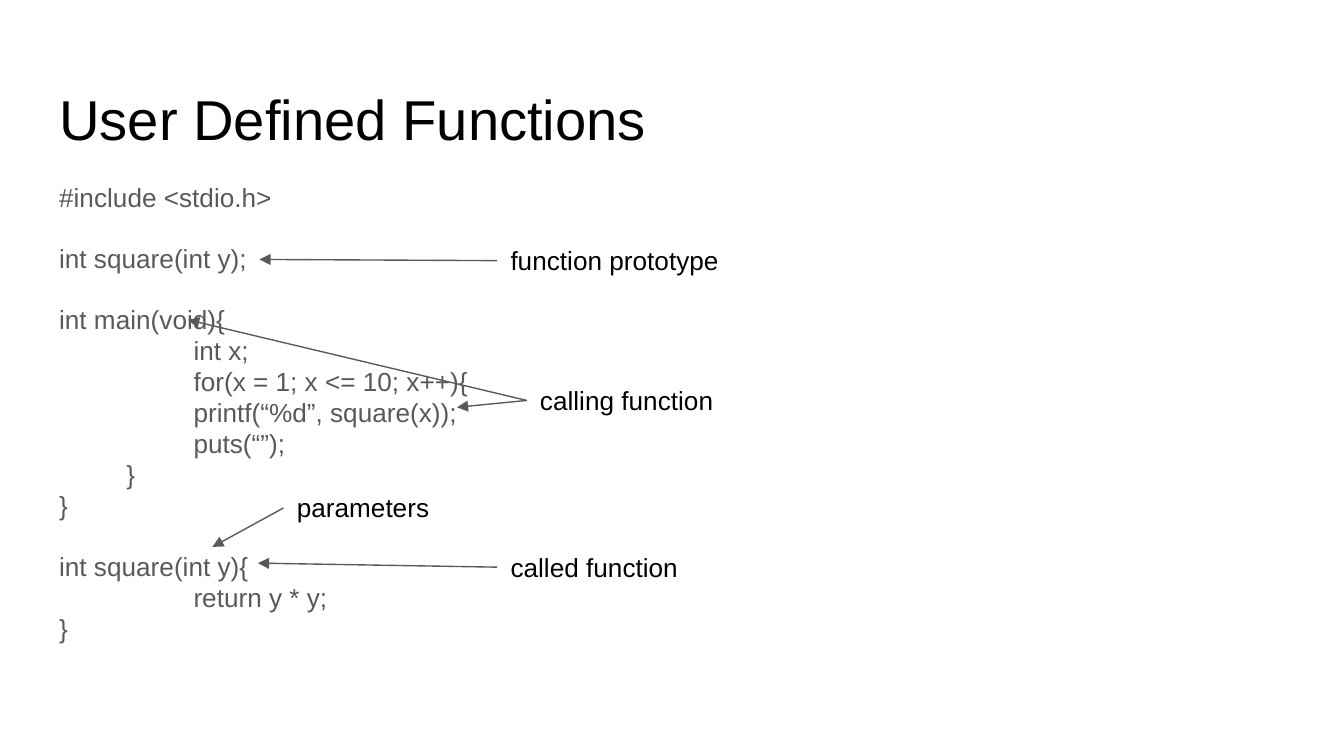
"""Builds a slide that labels the parts of a C program with user defined functions."""
from lxml import etree
from pptx import Presentation
from pptx.dml.color import RGBColor
from pptx.enum.shapes import MSO_CONNECTOR
from pptx.enum.text import MSO_ANCHOR, MSO_AUTO_SIZE, PP_ALIGN
from pptx.oxml.ns import qn
from pptx.util import Pt

STRAIGHT = MSO_CONNECTOR.STRAIGHT
TOP = MSO_ANCHOR.TOP
LEFT = PP_ALIGN.LEFT
NO_FIT, GROW = MSO_AUTO_SIZE.NONE, MSO_AUTO_SIZE.SHAPE_TO_FIT_TEXT
BLACK = RGBColor(0x00, 0x00, 0x00)
GRAY = RGBColor(0x59, 0x59, 0x59)

TITLE = "User Defined Functions"
CODE = [
    [("#include <stdio.h>", 0)],
    [("int square(int y);", 0)],
    [
        ("int main(void){", 0),
        ("int x;", 2),
        ("for(x = 1; x <= 10; x++){", 2),
        ("printf(“%d”, square(x));", 2),
        ("puts(“”);", 2),
        ("}", 1),
        ("}", 0),
    ],
    [("int square(int y){", 0), ("return y * y;", 2), ("}", 0)],
]
LABELS = [
    ("function prototype", 266.4, 123.8, 198, [(139, 139)]),
    ("calling function", 282.2, 198.7, 198, [(100.8, 171.4), (244.8, 218.2)]),
    ("called function", 266.4, 288, 198, [(138.2, 301.7)]),
    ("parameters", 151.9, 256.3, 126, [(113.8, 293)]),
]
MARGIN, TEXT_WIDTH = 24.5, 671
LABEL_HEIGHT = 31.7
INDENT, LINE, INSET = 36, 16, 7.2


def write(p, text, size=14, color=BLACK, indent=0, before=0, spacing=1.0):
    p.alignment = LEFT
    p.space_before = Pt(before)
    p.line_spacing = spacing
    pPr = p._p.get_or_add_pPr()
    pPr.set("marL", str(Pt(indent)))
    pPr.set("indent", "0")
    etree.SubElement(pPr, qn("a:buNone"))
    r = p.add_run()
    r.text = text
    r.font.name, r.font.size = "Arial", Pt(size)
    r.font.color.rgb = color


def frame(sp, fit, top=INSET):
    tf = sp.text_frame
    tf.word_wrap, tf.auto_size, tf.vertical_anchor = True, fit, TOP
    tf.margin_left = tf.margin_right = tf.margin_bottom = Pt(INSET)
    tf.margin_top = Pt(top)
    return tf


def place(sp, left, top, width, height):
    sp.left, sp.top, sp.width, sp.height = map(Pt, (left, top, width, height))


def add_arrow(s, label, x, y):
    line = s.shapes.add_connector(STRAIGHT, label.left, label.top, Pt(x), Pt(y))
    line.begin_connect(label, 1)
    line.line.color.rgb, line.line.width = GRAY, Pt(0.75)
    etree.SubElement(line.line._get_or_add_ln(), qn("a:tailEnd"), type="triangle")
    etree.SubElement(line._element.spPr, qn("a:effectLst"))


def main():
    prs = Presentation()
    prs.slide_width, prs.slide_height = Pt(720), Pt(405)
    s = prs.slides.add_slide(prs.slide_layouts[1])

    title, body = s.placeholders
    place(title, MARGIN, 35.3, TEXT_WIDTH, 45.4)
    write(frame(title, NO_FIT, top=10).paragraphs[0], TITLE, size=30.1)

    place(body, MARGIN, 90.7, TEXT_WIDTH, 269.3)
    tf = frame(body, NO_FIT)
    p = tf.paragraphs[0]
    for b, block in enumerate(CODE):
        for i, (text, level) in enumerate(block):
            if b or i:
                p = tf.add_paragraph()
            gap = LINE if b and i == 0 else 0
            write(p, text, color=GRAY, indent=level * INDENT, before=gap, spacing=0.99)

    for text, left, top, width, targets in LABELS:
        label = s.shapes.add_textbox(Pt(left), Pt(top), Pt(width), Pt(LABEL_HEIGHT))
        write(frame(label, GROW).paragraphs[0], text)
        for x, y in targets:
            add_arrow(s, label, x, y)

    prs.save("out.pptx")


if __name__ == "__main__":
    main()
